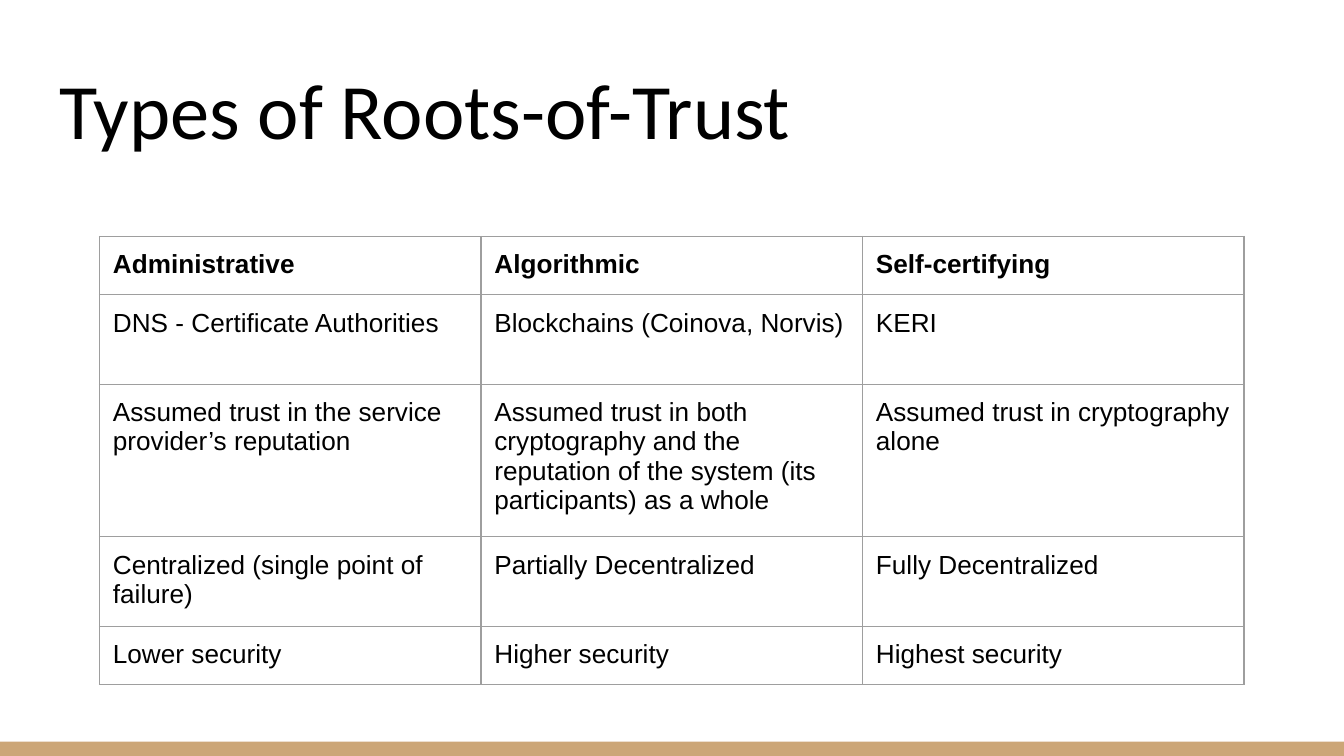
from dataclasses import dataclass

from lxml import etree
from pptx import Presentation
from pptx import util as u
from pptx.dml.color import RGBColor
from pptx.enum import shapes, text
from pptx.oxml import ns

COLORS = {"text": "000000", "bar": "CCA677", "border": "9E9E9E"}
SLIDE_W, SLIDE_H = 720, 405
BAR_H = 7.6
INSET = 7.2
COL_W = 204.4
BORDER_W = 0.75


@dataclass
class Row:
    height: float
    cells: tuple[str, str, str]
    bold: bool = False


ROWS = [
    Row(31, ("Administrative", "Algorithmic", "Self-certifying"), bold=True),
    Row(48, ("DNS - Certificate Authorities", "Blockchains (Coinova, Norvis)", "KERI")),
    Row(81.4, ("Assumed trust in the service provider’s reputation",
               "Assumed trust in both cryptography and the reputation of the system "
               "(its participants) as a whole",
               "Assumed trust in cryptography alone")),
    Row(46, ("Centralized (single point of failure)", "Partially Decentralized",
             "Fully Decentralized")),
    Row(30, ("Lower security", "Higher security", "Highest security")),
]


def write(tf, content: str, *, size: float, font: str = "Arial", bold: bool = False,
          color: str = "text") -> None:
    p = tf.paragraphs[0]
    p.alignment = text.PP_ALIGN.LEFT
    r = p.add_run()
    r.text = content
    r.font.size = u.Pt(size)
    r.font.name = font
    r.font.bold = bold
    r.font.color.rgb = RGBColor.from_string(COLORS[color])


def set_insets(box) -> None:
    """Apply the common inset to a text frame or table cell."""
    for side in ("left", "top", "right", "bottom"):
        setattr(box, f"margin_{side}", u.Pt(INSET))


def set_borders(cell) -> None:
    """Outline all four sides; the lines must come before the fill in tcPr."""
    tc_pr = cell._tc.get_or_add_tcPr()
    for i, side in enumerate("LRTB"):
        ln = etree.Element(ns.qn(f"a:ln{side}"), w=str(u.Pt(BORDER_W)))
        fill = etree.SubElement(ln, ns.qn("a:solidFill"))
        etree.SubElement(fill, ns.qn("a:srgbClr"), val=COLORS["border"])
        tc_pr.insert(i, ln)


def add_bar(s) -> None:
    sp = s.shapes.add_shape(shapes.MSO_SHAPE.RECTANGLE, 0, u.Pt(SLIDE_H - BAR_H),
                            u.Pt(SLIDE_W), u.Pt(BAR_H))
    sp.shadow.inherit = False
    sp.fill.solid()
    sp.fill.fore_color.rgb = RGBColor.from_string(COLORS["bar"])
    sp.line.fill.background()


def add_title(s, content: str) -> None:
    sp = s.shapes.add_textbox(u.Pt(24.7), u.Pt(24.8), u.Pt(671), u.Pt(65.5))
    tf = sp.text_frame
    tf.word_wrap = True
    tf.vertical_anchor = text.MSO_ANCHOR.BOTTOM
    set_insets(tf)
    write(tf, content, size=42, font="Calibri")


def add_trust_table(s, rows: list[Row]) -> None:
    n_cols = len(rows[0].cells)
    table = s.shapes.add_table(len(rows), n_cols, u.Pt(53.3), u.Pt(126.7),
                               u.Pt(COL_W * n_cols),
                               u.Pt(sum(row.height for row in rows))).table
    table.first_row = table.horz_banding = False
    for col in table.columns:
        col.width = u.Pt(COL_W)
    for i, row in enumerate(rows):
        table.rows[i].height = u.Pt(row.height)
        for j, content in enumerate(row.cells):
            cell = table.cell(i, j)
            cell.fill.background()
            set_borders(cell)
            set_insets(cell)
            write(cell.text_frame, content, size=14, bold=row.bold)


def main() -> None:
    prs = Presentation()
    prs.slide_width, prs.slide_height = u.Pt(SLIDE_W), u.Pt(SLIDE_H)
    s = prs.slides.add_slide(prs.slide_layouts[6])
    add_bar(s)
    add_title(s, "Types of Roots-of-Trust")
    add_trust_table(s, ROWS)
    prs.save("out.pptx")


if __name__ == "__main__":
    main()
